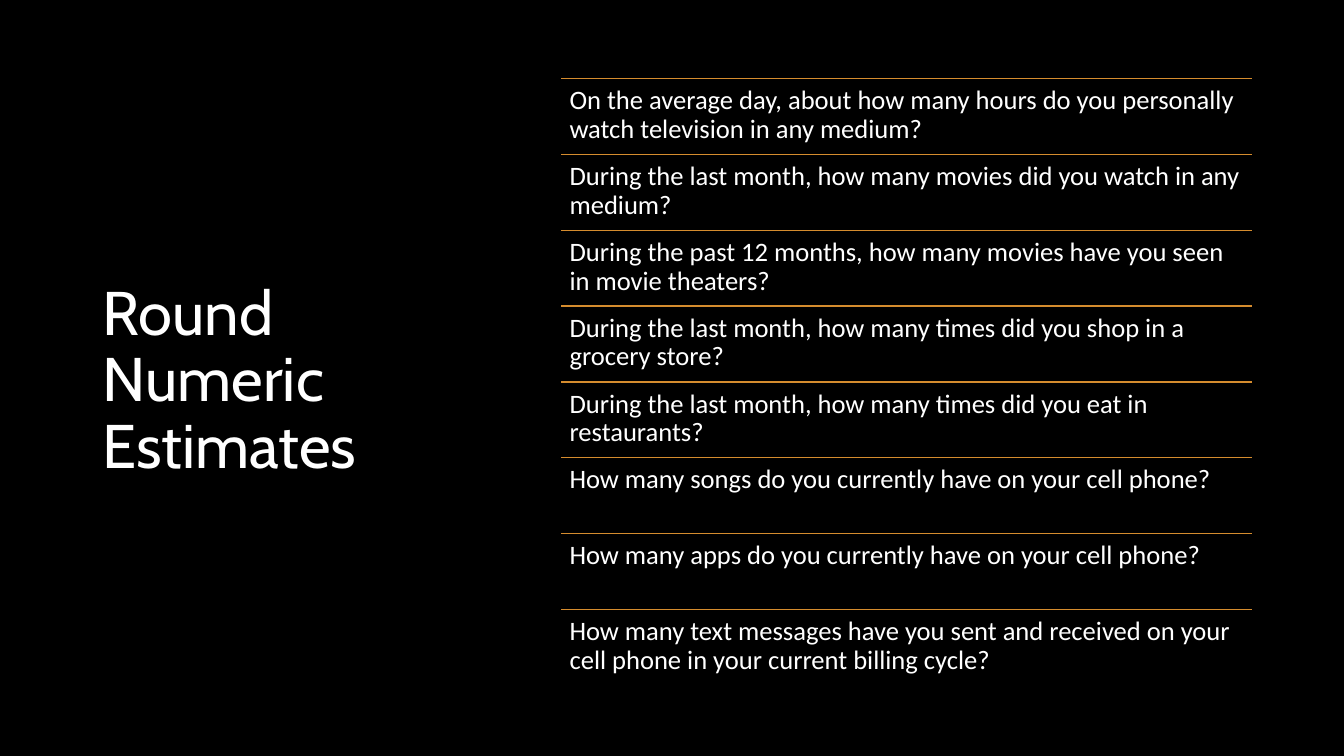
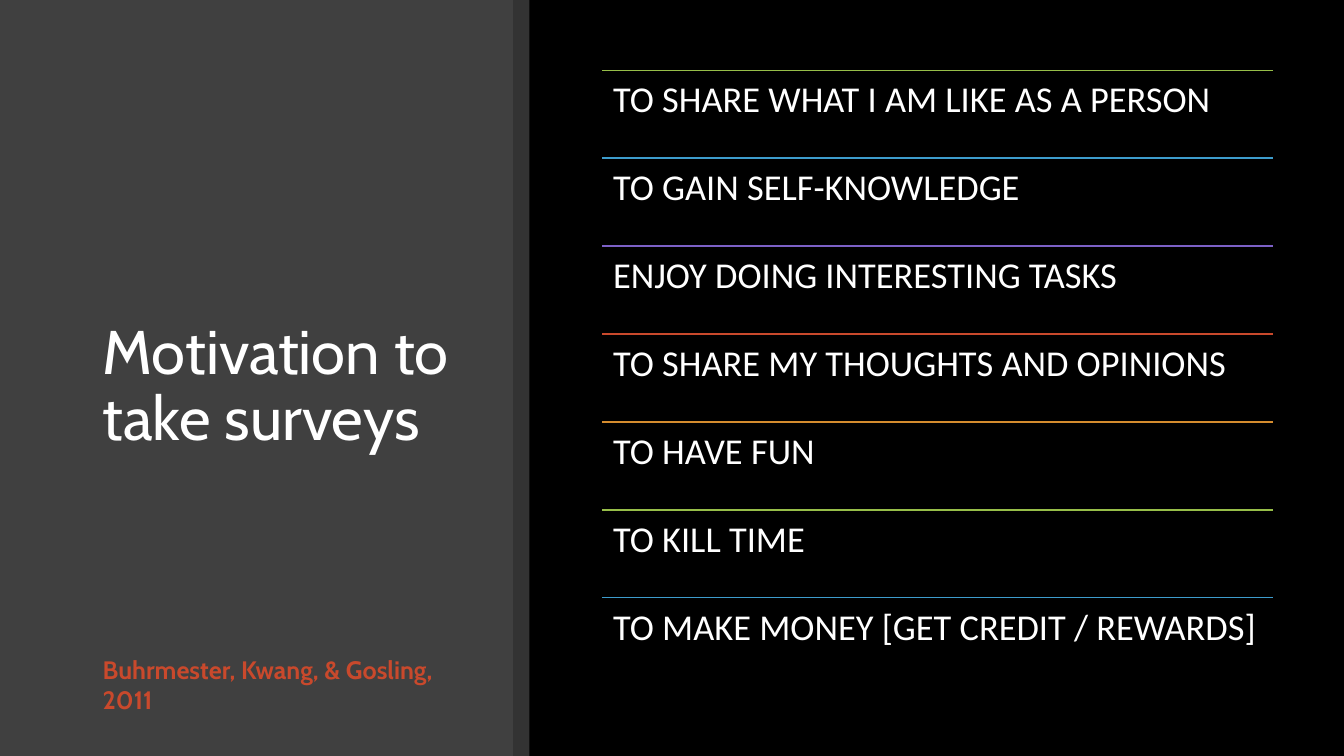
from dataclasses import dataclass
from itertools import cycle

from lxml.etree import SubElement
from pptx import Presentation
from pptx.dml.color import RGBColor
from pptx.enum.shapes import MSO_CONNECTOR, MSO_SHAPE
from pptx.enum.text import MSO_ANCHOR
from pptx.oxml.ns import qn
from pptx.util import Inches, Pt


@dataclass(frozen=True)
class Theme:
    """Colours, fonts and type sizes of the deck."""
    back: str = "000000"
    text: str = "FFFFFF"
    panel: str = "404040"
    green: str = "97BE49"
    blue: str = "3D9CCC"
    violet: str = "7C60C6"
    red: str = "C9492C"
    amber: str = "D58C2E"
    head: str = "Cabin"
    body: str = "Calibri"
    title: int = 44
    large: int = 26
    small: int = 19
    cite: int = 18


class Deck:
    """Draws on the current slide, with lengths in percent of its size."""

    def __init__(self, theme):
        """Set up the slide size and the shared background."""
        self.theme = theme
        self.prs = Presentation()
        self.prs.slide_width = Inches(13.33)
        self.prs.slide_height = Inches(7.5)
        self.slide = None
        self.paint(self.prs.slide_master.background.fill, theme.back)

    def paint(self, fill, color):
        """Make a fill solid."""
        fill.solid()
        fill.fore_color.rgb = RGBColor.from_string(color)

    def place(self, *box):
        """Turn percent pairs across and down into lengths."""
        sizes = cycle((self.prs.slide_width, self.prs.slide_height))
        return [round(part * size / 100) for part, size in zip(box, sizes)]

    def page(self):
        """Start a new slide."""
        self.slide = self.prs.slides.add_slide(self.prs.slide_layouts[6])

    def band(self, box, color, alpha=None):
        """Add a plain rectangle, see-through if alpha is given."""
        band = self.slide.shapes.add_shape(MSO_SHAPE.RECTANGLE, *self.place(*box))
        band.shadow.inherit = False
        band.line.fill.background()
        self.paint(band.fill, color)
        if alpha is not None:
            tone = band.fill._xPr.find(qn("a:solidFill"))[0]
            SubElement(tone, qn("a:alpha")).set("val", str(alpha * 1000))

    def text(self, box, words, size, font, color=None, bold=False,
             inset=None, anchor=MSO_ANCHOR.TOP, space=0.9):
        """Add a wrapped text box with one run."""
        frame = self.slide.shapes.add_textbox(*self.place(*box)).text_frame
        frame.word_wrap = True
        frame.vertical_anchor = anchor
        if inset is not None:
            frame.margin_left = frame.margin_right = Inches(inset)
            frame.margin_top = frame.margin_bottom = Inches(inset)
        para = frame.paragraphs[0]
        para.line_spacing = space
        run = para.add_run()
        run.text = words
        run.font.size = Pt(size)
        run.font.name = font
        run.font.bold = bold
        run.font.color.rgb = RGBColor.from_string(color or self.theme.text)

    def title(self, box, words):
        """Add the slide title, centred in height."""
        self.text(box, words, self.theme.title, self.theme.head,
                  anchor=MSO_ANCHOR.MIDDLE)

    def rule(self, left, top, width, color):
        """Add a thin level line."""
        ends = self.place(left, top, left + width, top)
        line = self.slide.shapes.add_connector(MSO_CONNECTOR.STRAIGHT, *ends)
        line.line.width = Pt(1)
        line.line.color.rgb = RGBColor.from_string(color)
        SubElement(line._element.spPr, qn("a:effectLst"))

    def rows(self, box, items, colors, size, inset):
        """Share a box out into equal rows, each under a rule."""
        left, top, width, height = box
        step = height / len(items)
        for row, (item, color) in enumerate(zip(items, cycle(colors))):
            y = top + row * step
            self.rule(left, y, width, color)
            self.text((left, y, width, step), item, size,
                      self.theme.body, inset=inset)


QUESTIONS = [
    "On the average day, about how many hours do you personally watch television in any medium?",
    "During the last month, how many movies did you watch in any medium?",
    "During the past 12 months, how many movies have you seen in movie theaters?",
    "During the last month, how many times did you shop in a grocery store?",
    "During the last month, how many times did you eat in restaurants?",
    "How many songs do you currently have on your cell phone?",
    "How many apps do you currently have on your cell phone?",
    "How many text messages have you sent and received on your cell phone in your current billing cycle?",
]
MOTIVES = [
    "TO SHARE WHAT I AM LIKE AS A PERSON",
    "TO GAIN SELF-KNOWLEDGE",
    "ENJOY DOING INTERESTING TASKS",
    "TO SHARE MY THOUGHTS AND OPINIONS",
    "TO HAVE FUN",
    "TO KILL TIME",
    "TO MAKE MONEY [GET CREDIT / REWARDS]",
]


def main():
    """Build and save both slides."""
    theme = Theme()
    deck = Deck(theme)

    deck.page()
    deck.title((6.9, 10.4, 27.7, 80.25), "Round Numeric Estimates")
    deck.rows((41.78, 10.4, 51.4, 80.25), QUESTIONS, [theme.amber],
              theme.small, 0.08)

    deck.page()
    deck.band((0, 0, 38.2, 100), theme.panel)
    deck.title((6.9, 11.85, 27.4, 78.8), "Motivation to take surveys")
    deck.band((38.2, 0, 1.2, 100), theme.text, alpha=20)
    hues = [theme.green, theme.blue, theme.violet, theme.red, theme.amber]
    deck.rows((44.8, 9.3, 49.95, 81.4), MOTIVES, hues, theme.large, 0.11)
    deck.text((6.9, 85.87, 27.4, 9.45), "Buhrmester, Kwang, & Gosling, 2011",
              theme.cite, theme.head, theme.red, bold=True, space=1.0)

    deck.prs.save("out.pptx")


if __name__ == "__main__":
    main()
